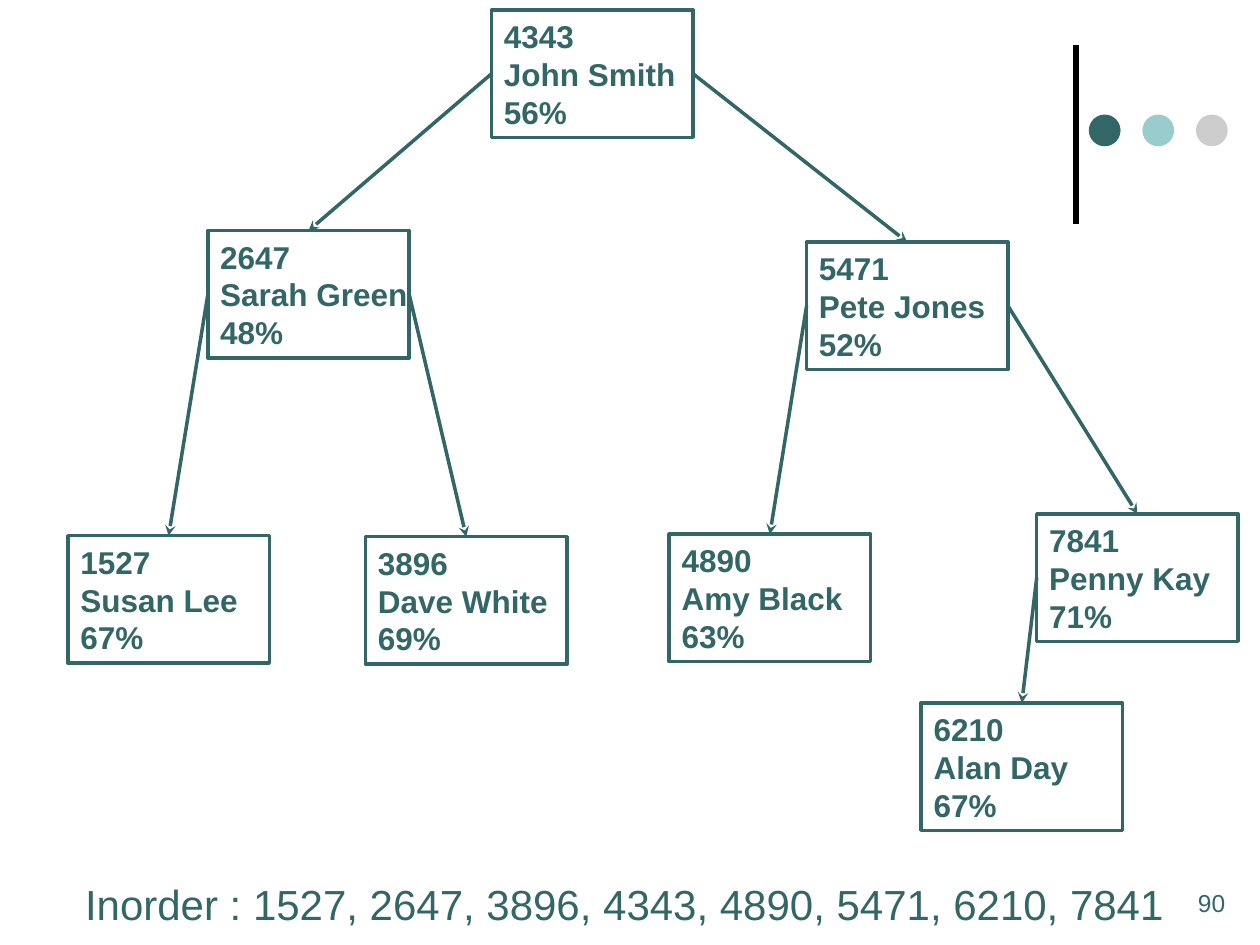
from lxml.etree import SubElement
from pptx import Presentation
from pptx.dml.color import RGBColor
from pptx.enum.shapes import MSO_CONNECTOR, MSO_SHAPE
from pptx.enum.text import MSO_ANCHOR, PP_ALIGN
from pptx.oxml.ns import qn
from pptx.util import Cm, Pt

TEAL = RGBColor(0x33, 0x66, 0x66)
AQUA = RGBColor(0x99, 0xCC, 0xCC)
GREY = RGBColor(0xCC, 0xCC, 0xCC)
BLACK = RGBColor(0, 0, 0)

TOP, LEFT, RIGHT = 0, 1, 3
NODE_WIDTH, NODE_HEIGHT = Cm(4.06), Cm(2.57)

STUDENTS = [
    ("4343", "John Smith", "56%", 9.91, 0.2),
    ("2647", "Sarah Green", "48%", 4.19, 4.65),
    ("5471", "Pete Jones", "52%", 16.26, 4.88),
    ("4890", "Amy Black", "63%", 13.49, 10.77),
    ("3896", "Dave White", "69%", 7.37, 10.82),
    ("7841", "Penny Kay", "71%", 20.9, 10.36),
    ("6210", "Alan Day", "67%", 18.57, 14.17),
    ("1527", "Susan Lee", "67%", 1.37, 10.8),
]
BRANCHES = [
    ("4343", LEFT, "2647"),
    ("4343", RIGHT, "5471"),
    ("5471", RIGHT, "7841"),
    ("5471", LEFT, "4890"),
    ("7841", LEFT, "6210"),
    ("2647", RIGHT, "3896"),
    ("2647", LEFT, "1527"),
]


def write_text(shape, text, size, bold=False, align=PP_ALIGN.LEFT,
               anchor=MSO_ANCHOR.TOP, wrap=False):
    frame = shape.text_frame
    frame.text = text
    frame.word_wrap = wrap
    frame.vertical_anchor = anchor
    for paragraph in frame.paragraphs:
        paragraph.alignment = align
        for run in paragraph.runs:
            run.font.name = "Arial"
            run.font.size = Pt(size)
            run.font.bold = bold
            run.font.color.rgb = TEAL


def add_caption(slide, text, left, top, width, height, **text_format):
    caption = slide.shapes.add_textbox(Cm(left), Cm(top), Cm(width), Cm(height))
    write_text(caption, text, **text_format)


def add_dot(slide, left, color):
    dot = slide.shapes.add_shape(
        MSO_SHAPE.OVAL, Cm(left), Cm(2.31), Cm(0.64), Cm(0.64))
    dot.shadow.inherit = False
    dot.fill.solid()
    dot.fill.fore_color.rgb = color
    dot.line.fill.background()


def add_node(slide, number, name, mark, left, top):
    node = slide.shapes.add_shape(
        MSO_SHAPE.RECTANGLE, Cm(left), Cm(top), NODE_WIDTH, NODE_HEIGHT)
    node.shadow.inherit = False
    node.fill.background()
    node.line.color.rgb = TEAL
    node.line.width = Pt(2)
    write_text(node, f"{number}\v{name}\n{mark}", size=18, bold=True,
               anchor=MSO_ANCHOR.MIDDLE)
    return node


def add_line(slide, start, end, color, width):
    line = slide.shapes.add_connector(MSO_CONNECTOR.STRAIGHT, *start, *end)
    line.line.color.rgb = color
    line.line.width = Pt(width)
    SubElement(line._element.spPr, qn("a:effectLst"))
    return line


def add_branch(slide, parent, side, child):
    branch = add_line(slide, (0, 0), (0, 0), TEAL, 2)
    branch.begin_connect(parent, side)
    branch.end_connect(child, TOP)
    SubElement(branch.line._get_or_add_ln(), qn("a:tailEnd"), type="stealth")


def main():
    presentation = Presentation()
    presentation.slide_width = Cm(25.4)
    presentation.slide_height = Cm(19.05)
    slide = presentation.slides.add_slide(presentation.slide_layouts[6])

    add_line(slide, (Cm(21.69), Cm(4.52)), (Cm(21.69), Cm(0.91)), BLACK, 3)
    for position, color in enumerate((TEAL, AQUA, GREY)):
        add_dot(slide, 21.95 + 1.08 * position, color)

    nodes = {student[0]: add_node(slide, *student) for student in STUDENTS}
    for parent, side, child in BRANCHES:
        add_branch(slide, nodes[parent], side, nodes[child])

    inorder = ", ".join(sorted(nodes))
    add_caption(slide, f"Inorder : {inorder}", 1.45, 17.58, 22.28, 1.27,
                size=24, align=PP_ALIGN.CENTER)
    add_caption(slide, "90", 23.9, 17.78, 1.5, 1.27, size=14, wrap=True)

    presentation.save("out.pptx")


if __name__ == "__main__":
    main()
